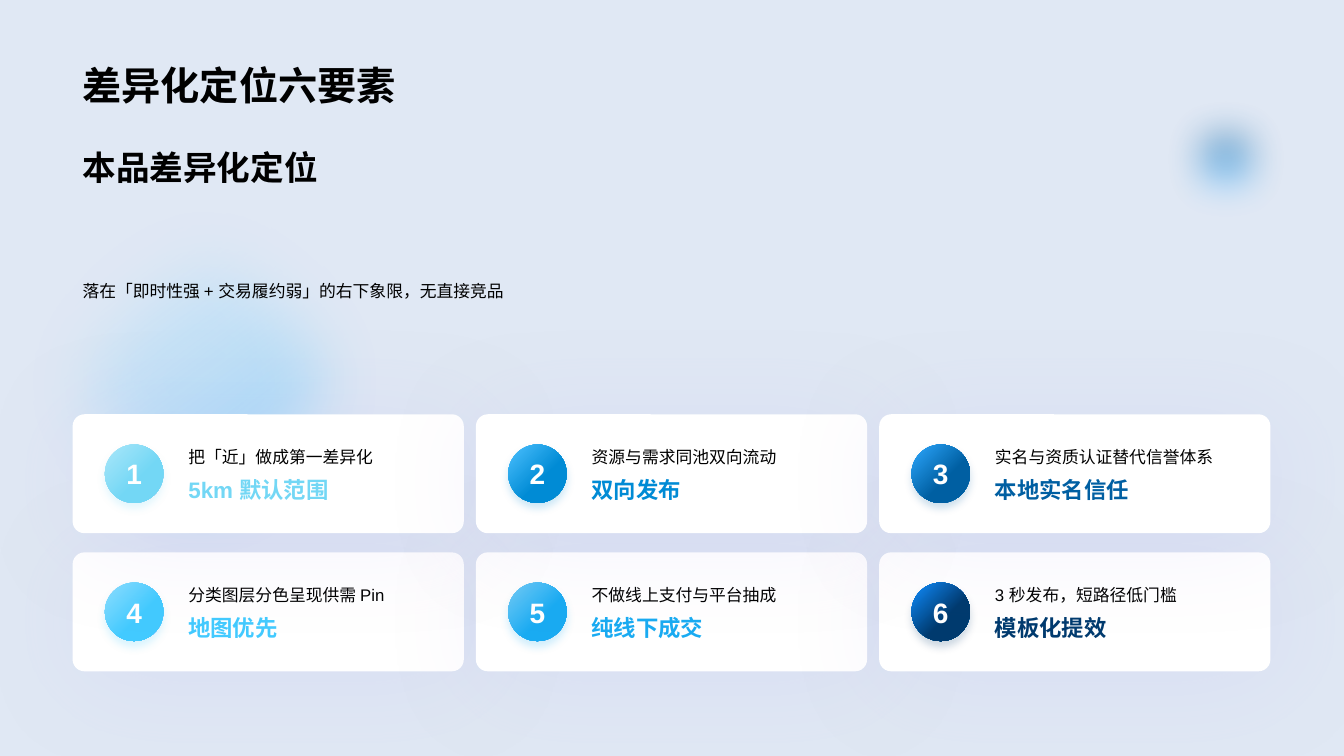
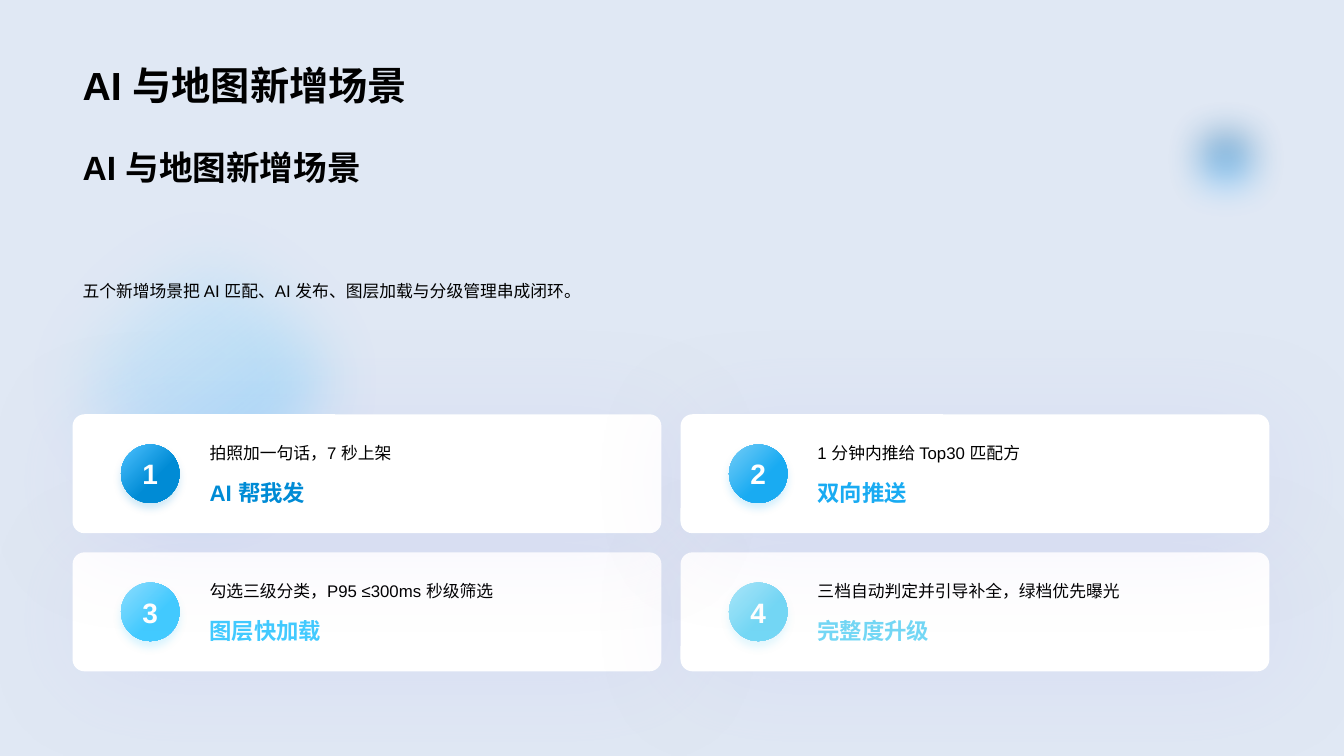
from dataclasses import dataclass

from lxml import etree
from pptx import Presentation
from pptx.dml.color import RGBColor
from pptx.enum.shapes import MSO_SHAPE
from pptx.enum.text import MSO_ANCHOR, PP_ALIGN
from pptx.oxml.ns import qn
from pptx.shapes.autoshape import Shape
from pptx.slide import Slide
from pptx.util import Inches, Pt

RECT = MSO_SHAPE.RECTANGLE
ROUND_RECT = MSO_SHAPE.ROUNDED_RECTANGLE
OVAL = MSO_SHAPE.OVAL
TOP, MIDDLE, BOTTOM = MSO_ANCHOR.TOP, MSO_ANCHOR.MIDDLE, MSO_ANCHOR.BOTTOM
LEFT, CENTER = PP_ALIGN.LEFT, PP_ALIGN.CENTER

SLIDE_W, SLIDE_H = 13.33, 7.5
MARGIN, CONTENT_W = 0.72, 11.88
CARD_TOP, CARD_H, ROW_PITCH = 4.11, 1.18, 1.37
BADGE_SIZE = 0.58
CAPTION_H, HEADING_H = 0.5, 0.44

COLORS = {
    "black": "000000",
    "white": "FFFFFF",
    "violet": "8E7EF0",
    "glow_light": "C4EAFF",
    "spot_light": "B9E2FF",
    "ice": "73D7F5",
    "ice_light": "ABE7F9",
    "sky": "42CAFF",
    "sky_light": "8EDFFF",
    "azure": "19ABF2",
    "azure_light": "75CDF7",
    "blue": "008BD5",
    "blue_light": "4DC1FF",
    "deep": "005FA2",
    "deep_light": "2EA9FF",
    "navy": "003A6E",
    "navy_light": "0F8EFF",
}

TEXT_STYLES = {
    "title": {"size": Pt(28), "bold": True},
    "subtitle": {"size": Pt(24), "bold": True},
    "badge": {"size": Pt(20), "bold": True},
    "heading": {"size": Pt(16), "bold": True},
    "caption": {"size": Pt(12), "bold": False},
}


@dataclass(frozen=True)
class Box:
    left: float
    top: float
    width: float
    height: float


@dataclass(frozen=True)
class Stop:
    position: int
    color: str
    opacity: int = 100


@dataclass(frozen=True)
class Shadow:
    color: str
    opacity: int
    blur: float
    distance: float
    angle: int


@dataclass(frozen=True)
class Card:
    caption: str
    heading: str
    tone: str


@dataclass(frozen=True)
class CardGrid:
    columns: int
    pitch: float
    card_width: float
    badge_x: float
    text_x: float
    text_width: float
    caption_bottom: float
    heading_bottom: float


@dataclass(frozen=True)
class Page:
    title: str
    subtitle: str
    intro: str
    grid: CardGrid
    cards: tuple[Card, ...]


THREE_COLUMNS = CardGrid(3, 4, 3.88, 0.32, 1.05, 2.54, 0.57, 0.93)
TWO_COLUMNS = CardGrid(2, 6.03, 5.84, 0.48, 1.26, 4.16, 0.53, 0.96)
CARD_SHADOW = Shadow("violet", 10, 80, 8, 40)

PAGES = (
    Page(
        "差异化定位六要素",
        "本品差异化定位",
        "落在「即时性强 + 交易履约弱」的右下象限，无直接竞品",
        THREE_COLUMNS,
        (
            Card("把「近」做成第一差异化", "5km 默认范围", "ice"),
            Card("资源与需求同池双向流动", "双向发布", "blue"),
            Card("实名与资质认证替代信誉体系", "本地实名信任", "deep"),
            Card("分类图层分色呈现供需 Pin", "地图优先", "sky"),
            Card("不做线上支付与平台抽成", "纯线下成交", "azure"),
            Card("3 秒发布，短路径低门槛", "模板化提效", "navy"),
        ),
    ),
    Page(
        "AI 与地图新增场景",
        "AI 与地图新增场景",
        "五个新增场景把 AI 匹配、AI 发布、图层加载与分级管理串成闭环。",
        TWO_COLUMNS,
        (
            Card("拍照加一句话，7 秒上架", "AI 帮我发", "blue"),
            Card("1 分钟内推给 Top30 匹配方", "双向推送", "azure"),
            Card("勾选三级分类，P95 ≤300ms 秒级筛选", "图层快加载", "sky"),
            Card("三档自动判定并引导补全，绿档优先曝光", "完整度升级", "ice"),
        ),
    ),
)


def add_color(parent: etree._Element, color: str, opacity: int) -> None:
    node = etree.SubElement(parent, qn("a:srgbClr"), val=COLORS[color])
    if opacity < 100:
        etree.SubElement(node, qn("a:alpha"), val=str(opacity * 1000))


def add_panel(slide: Slide, preset: MSO_SHAPE, box: Box, color: str,
              opacity: int = 100) -> Shape:
    panel = slide.shapes.add_shape(
        preset, Inches(box.left), Inches(box.top),
        Inches(box.width), Inches(box.height))
    panel.shadow.inherit = False
    panel.line.fill.background()
    panel.fill.solid()
    panel.fill.fore_color.rgb = RGBColor.from_string(COLORS[color])
    if opacity < 100:
        node = panel._element.spPr.find(qn("a:solidFill"))[0]
        etree.SubElement(node, qn("a:alpha"), val=str(opacity * 1000))
    return panel


def set_gradient(shape: Shape, stops: tuple[Stop, ...],
                 radial: bool = False) -> None:
    properties = shape._element.spPr
    gradient = etree.Element(qn("a:gradFill"), rotWithShape="1")
    stop_list = etree.SubElement(gradient, qn("a:gsLst"))
    for stop in stops:
        node = etree.SubElement(
            stop_list, qn("a:gs"), pos=str(stop.position * 1000))
        add_color(node, stop.color, stop.opacity)
    if radial:
        circle = etree.SubElement(gradient, qn("a:path"), path="circle")
        etree.SubElement(circle, qn("a:fillToRect"),
                         l="50000", t="130000", r="50000", b="-30000")
    else:
        etree.SubElement(gradient, qn("a:lin"), ang="2700000", scaled="0")
    properties.replace(properties.find(qn("a:solidFill")), gradient)


def set_shadow(shape: Shape, shadow: Shadow) -> None:
    effects = shape._element.spPr.find(qn("a:effectLst"))
    node = etree.SubElement(
        effects, qn("a:outerShdw"), blurRad=str(Pt(shadow.blur)),
        dist=str(Pt(shadow.distance)), dir=str(shadow.angle * 60000),
        algn="ctr", rotWithShape="0")
    add_color(node, shadow.color, shadow.opacity)


def write(shape: Shape, text: str, style: str, color: str, anchor: MSO_ANCHOR,
          align: PP_ALIGN = LEFT) -> None:
    frame = shape.text_frame
    frame.word_wrap = True
    frame.vertical_anchor = anchor
    paragraph = frame.paragraphs[0]
    paragraph.alignment = align
    if style == "caption":
        paragraph.line_spacing = 1.2
    run = paragraph.add_run()
    run.text = text
    for name, value in {"name": "Arial", **TEXT_STYLES[style]}.items():
        setattr(run.font, name, value)
    run.font.color.rgb = RGBColor.from_string(COLORS[color])


def add_text(slide: Slide, box: Box, text: str, style: str,
             color: str = "black", anchor: MSO_ANCHOR = BOTTOM) -> None:
    label = slide.shapes.add_textbox(
        Inches(box.left), Inches(box.top),
        Inches(box.width), Inches(box.height))
    write(label, text, style, color, anchor)


def add_glow(slide: Slide, box: Box, rotation: float, blur: float,
             stops: tuple[Stop, ...], radial: bool = False) -> None:
    glow = add_panel(slide, OVAL, box, "white")
    glow.rotation = rotation
    set_gradient(glow, stops, radial)
    effects = glow._element.spPr.find(qn("a:effectLst"))
    etree.SubElement(effects, qn("a:softEdge"), rad=str(Inches(blur)))


def add_backdrop(slide: Slide) -> None:
    full_slide = Box(0, 0, SLIDE_W, SLIDE_H)
    for tint, opacity in (("deep", 10), ("violet", 5)):
        add_panel(slide, RECT, full_slide, tint, opacity)
    add_glow(slide, Box(0, 1.76, 4.02, 4.02), 8.9, 0.69,
             (Stop(0, "glow_light", 0), Stop(60, "blue_light", 32)))
    add_glow(slide, Box(11.35, 0.77, 1.62, 1.62), 123.5, 0.44,
             (Stop(0, "spot_light"), Stop(47, "deep_light", 79),
              Stop(89, "deep", 82)), radial=True)


def add_card(slide: Slide, grid: CardGrid, index: int, card: Card) -> None:
    row, column = divmod(index, grid.columns)
    left = MARGIN + column * grid.pitch
    top = CARD_TOP + row * ROW_PITCH
    panel = add_panel(
        slide, ROUND_RECT, Box(left, top, grid.card_width, CARD_H), "white")
    panel.adjustments[0] = 0.1
    set_shadow(panel, CARD_SHADOW)

    badge = add_panel(
        slide, OVAL,
        Box(left + grid.badge_x, top + (CARD_H - BADGE_SIZE) / 2,
            BADGE_SIZE, BADGE_SIZE), card.tone)
    set_gradient(badge, (Stop(0, f"{card.tone}_light"), Stop(60, card.tone)))
    set_shadow(badge, Shadow(card.tone, 20, 6, 4, 90))
    write(badge, str(index + 1), "badge", "white", MIDDLE, CENTER)

    text_left = left + grid.text_x
    add_text(slide, Box(text_left, top + grid.heading_bottom - HEADING_H,
                        grid.text_width, HEADING_H),
             card.heading, "heading", card.tone)
    add_text(slide, Box(text_left, top + grid.caption_bottom - CAPTION_H,
                        grid.text_width, CAPTION_H),
             card.caption, "caption")


def add_page(deck: Presentation, page: Page) -> None:
    slide = deck.slides.add_slide(deck.slide_layouts[6])
    add_backdrop(slide)
    add_text(slide, Box(MARGIN, 0, CONTENT_W, 1.12), page.title, "title")
    add_text(slide, Box(MARGIN, 1.41, CONTENT_W, 0.5), page.subtitle,
             "subtitle", anchor=TOP)
    add_text(slide, Box(MARGIN, 2.53, CONTENT_W, CAPTION_H), page.intro,
             "caption")
    numbered = list(enumerate(page.cards))
    columns = page.grid.columns
    for index, card in numbered[columns:] + numbered[:columns]:
        add_card(slide, page.grid, index, card)


def main() -> None:
    deck = Presentation()
    deck.slide_width, deck.slide_height = Inches(SLIDE_W), Inches(SLIDE_H)
    for page in PAGES:
        add_page(deck, page)
    deck.save("out.pptx")


if __name__ == "__main__":
    main()
